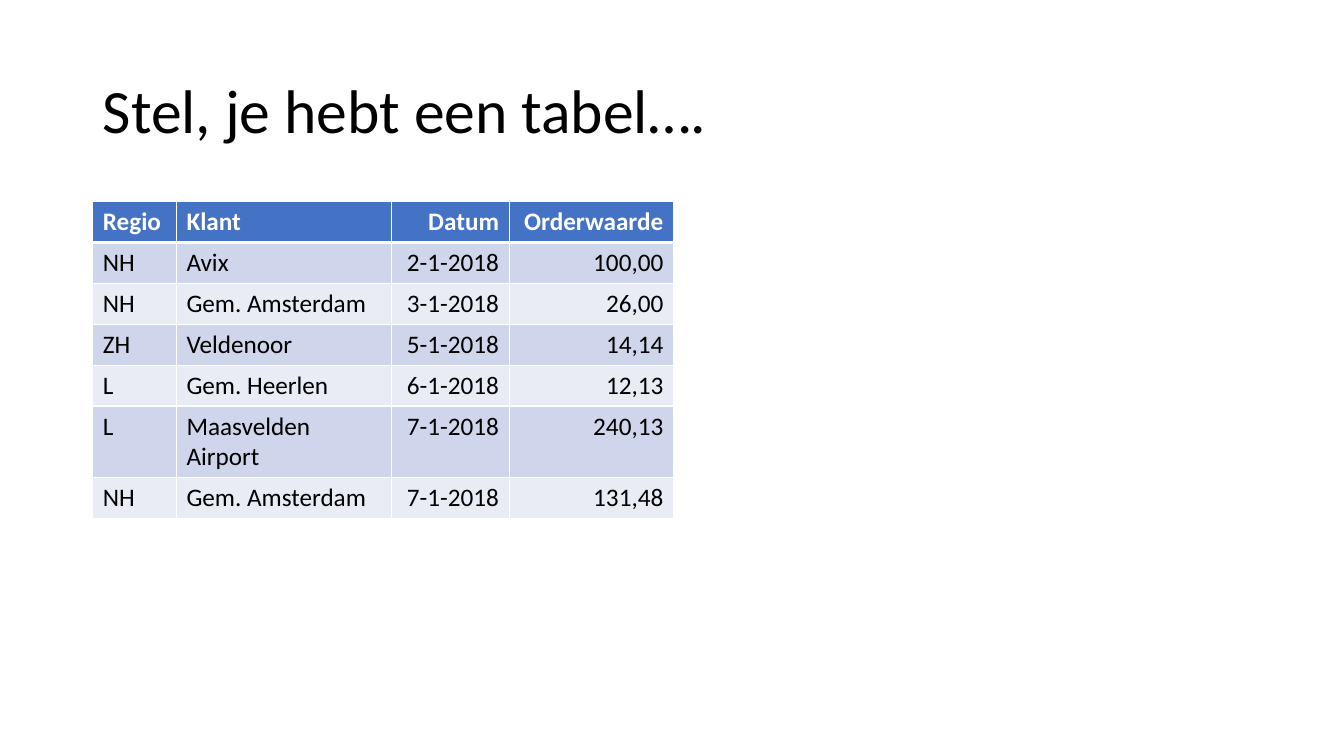
import pptx
import pptx.util
import pptx.dml.color
import pptx.enum.text
import pptx.oxml
import pptx.oxml.ns

Inches = pptx.util.Inches
Pt = pptx.util.Pt
ALIGN = pptx.enum.text.PP_ALIGN
ANCHOR = pptx.enum.text.MSO_ANCHOR
FONT = "Calibri"
COLORS = {
    "text": "000000",
    "white": "FFFFFF",
    "header": "4472C4",
    "odd": "CFD5EA",
    "even": "E9EBF5",
}


def add_span(para, text, size, color, bold=False):
    span = para.add_run()
    span.text = text
    span.font.name = FONT
    span.font.size = Pt(size)
    span.font.bold = bold
    span.font.color.rgb = pptx.dml.color.RGBColor.from_string(COLORS[color])


def add_border(cell, side, width):
    cell._tc.get_or_add_tcPr().append(pptx.oxml.parse_xml(
        f'<a:ln{side} {pptx.oxml.ns.nsdecls("a")} w="{Pt(width)}">'
        f'<a:solidFill><a:srgbClr val="{COLORS["white"]}"/></a:solidFill>'
        f'</a:ln{side}>'))


deck = pptx.Presentation()
deck.slide_width = Inches(13.33)
deck.slide_height = Inches(7.5)
page = deck.slides.add_slide(deck.slide_layouts[5])

title = page.shapes.title
title.left, title.top = Inches(0.92), Inches(0.4)
title.width, title.height = Inches(11.5), Inches(1.45)
title.text_frame.vertical_anchor = ANCHOR.MIDDLE
para = title.text_frame.paragraphs[0]
para.alignment = ALIGN.LEFT
para.line_spacing = 0.9
add_span(para, "Stel, je hebt een tabel….", 44, "text")

orders = [
    ("Regio", "Klant", "Datum", "Orderwaarde"),
    ("NH", "Avix", "2-1-2018", "100,00"),
    ("NH", "Gem. Amsterdam", "3-1-2018", "26,00"),
    ("ZH", "Veldenoor", "5-1-2018", "14,14"),
    ("L", "Gem. Heerlen", "6-1-2018", "12,13"),
    ("L", "Maasvelden Airport", "7-1-2018", "240,13"),
    ("NH", "Gem. Amsterdam", "7-1-2018", "131,48"),
]
column_widths = [0.83, 2.13, 1.17, 1.63]
row_height = 0.405
table = page.shapes.add_table(
    len(orders), len(column_widths), Inches(0.92), Inches(2),
    Inches(sum(column_widths)), Inches(row_height * len(orders))).table
for column, width in zip(table.columns, column_widths):
    column.width = Inches(width)

for row_index, order in enumerate(orders):
    is_header = row_index == 0
    fill = "header" if is_header else "odd" if row_index % 2 else "even"
    for column_index, text in enumerate(order):
        cell = table.cell(row_index, column_index)
        add_border(cell, "L", 1)
        add_border(cell, "R", 1)
        add_border(cell, "T", 3 if row_index == 1 else 1)
        add_border(cell, "B", 3 if is_header else 1)
        cell.fill.solid()
        cell.fill.fore_color.rgb = pptx.dml.color.RGBColor.from_string(COLORS[fill])
        para = cell.text_frame.paragraphs[0]
        para.alignment = ALIGN.RIGHT if column_index >= 2 else ALIGN.LEFT
        add_span(para, text, 18, "white" if is_header else "text", is_header)

deck.save("out.pptx")
